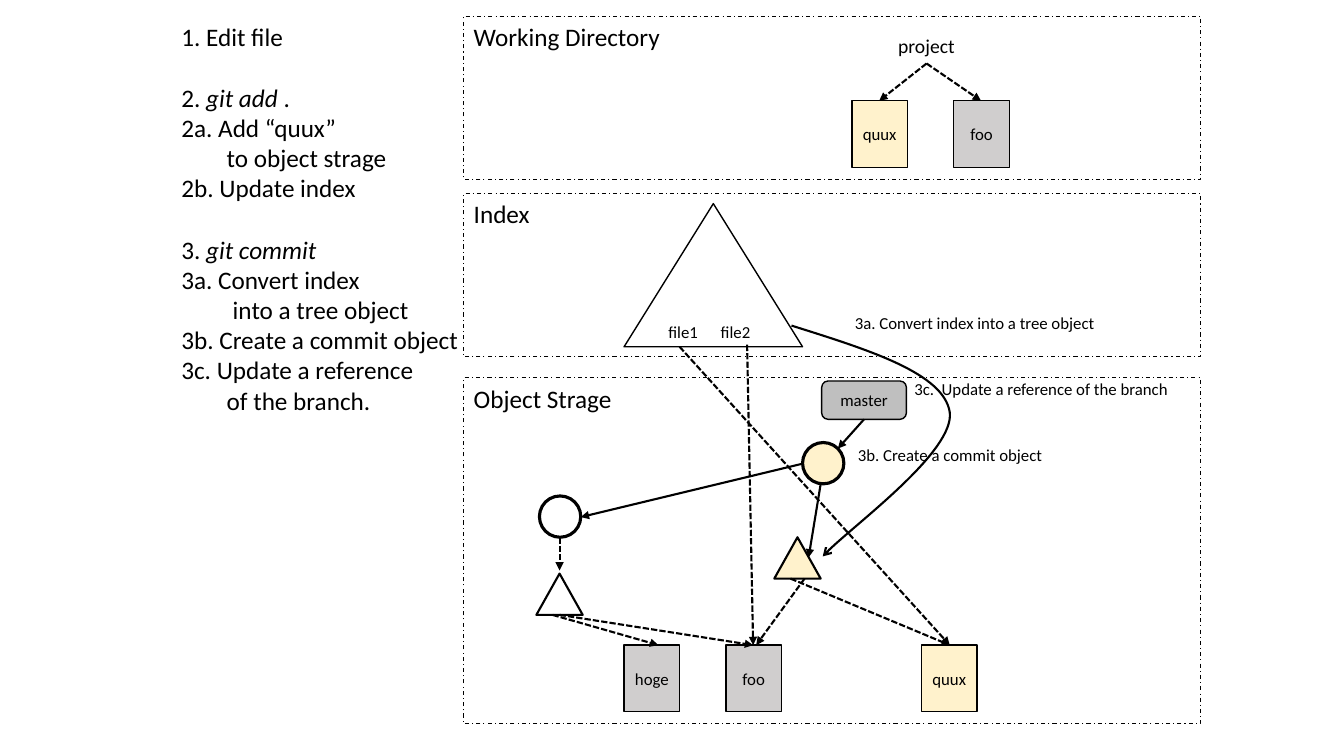
from pptx import Presentation
from pptx.dml.color import RGBColor
from pptx.enum.dml import MSO_LINE as DASH
from pptx.enum.shapes import MSO_CONNECTOR, MSO_SHAPE as SHAPE
from pptx.enum.text import MSO_ANCHOR as ANCHOR, PP_ALIGN as ALIGN
from pptx.oxml.ns import qn
from pptx.util import Inches, Pt
from lxml import etree

COLORS = {"ink": "000000", "plain": "FFFFFF", "new": "FFF2CC",
          "file": "D0CECE", "branch": "BFBFBF"}

prs = Presentation()
prs.slide_width, prs.slide_height = Inches(13.33), Inches(7.5)
slide = prs.slides.add_slide(prs.slide_layouts[6])
shapes = slide.shapes


def write(paragraph, text, size=12, italic=False, align=ALIGN.LEFT):
    """Add a formatted run to a paragraph."""
    paragraph.alignment = align
    run = paragraph.add_run()
    run.text = text
    run.font.name, run.font.size, run.font.italic = "Calibri", Pt(size), italic
    run.font.color.rgb = RGBColor.from_string(COLORS["ink"])


def outline(item, width, dash=None, head=None):
    """Give a shape or connector a flat black line, with an optional arrowhead."""
    item.line.color.rgb = RGBColor.from_string(COLORS["ink"])
    item.line.width = Pt(width)
    if dash:
        item.line.dash_style = dash
    if head:
        line_xml = item.line._get_or_add_ln()
        etree.SubElement(line_xml, qn("a:tailEnd"), type=head)


# Three storage areas
for name, top, height in [("Working Directory", 0.16, 1.62), ("Index", 1.92, 1.62),
                          ("Object Strage", 3.75, 3.43)]:
    area = shapes.add_shape(SHAPE.RECTANGLE, Inches(4.6), Inches(top),
                            Inches(7.31), Inches(height))
    area.shadow.inherit = False
    area.fill.background()
    outline(area, 0.75, DASH.DASH_DOT)
    area.text_frame.vertical_anchor = ANCHOR.TOP
    write(area.text_frame.paragraphs[0], name, size=18)

# Files, trees, commits and the branch: kind, left, top, fill, label
SIZES = {"file": (SHAPE.RECTANGLE, 0.55, 0.66, 1),
         "index": (SHAPE.ISOSCELES_TRIANGLE, 1.77, 1.42, 1),
         "tree": (SHAPE.ISOSCELES_TRIANGLE, 0.46, 0.41, 1.5),
         "commit": (SHAPE.OVAL, 0.41, 0.41, 2.25),
         "branch": (SHAPE.ROUNDED_RECTANGLE, 0.84, 0.38, 1)}
nodes = [("file", 8.45, 1, "new", "quux"), ("file", 9.46, 1, "file", "foo"),
         ("index", 6.19, 2.02, "plain", ""),
         ("commit", 5.35, 4.92, "plain", ""), ("tree", 5.32, 5.69, "plain", ""),
         ("file", 6.19, 6.4, "file", "hoge"), ("file", 7.2, 6.4, "file", "foo"),
         ("file", 9.14, 6.4, "new", "quux"),
         ("tree", 7.68, 5.33, "new", ""), ("commit", 7.96, 4.39, "new", ""),
         ("branch", 8.15, 3.78, "branch", "master")]
for kind, left, top, fill, label in nodes:
    preset, width, height, weight = SIZES[kind]
    node = shapes.add_shape(preset, Inches(left), Inches(top),
                            Inches(width), Inches(height))
    node.shadow.inherit = False
    node.fill.solid()
    node.fill.fore_color.rgb = RGBColor.from_string(COLORS[fill])
    outline(node, weight)
    if label:
        frame = node.text_frame
        frame.margin_left = frame.margin_right = 0
        frame.vertical_anchor = ANCHOR.MIDDLE
        write(frame.paragraphs[0], label, align=ALIGN.CENTER)

# References between objects: dashed to contents, solid to commits and new tree
contents = [(9.19, 0.63, 8.72, 1), (9.19, 0.63, 9.73, 1),
            (5.55, 5.33, 5.55, 5.66), (5.48, 6.1, 6.53, 6.4),
            (5.55, 6.1, 7.47, 6.4), (7.41, 3.42, 7.47, 6.4),
            (6.74, 3.44, 9.42, 6.4), (7.84, 5.74, 9.42, 6.4),
            (7.98, 5.74, 7.5, 6.4)]
history = [(8.14, 4.8, 8.02, 5.53), (7.96, 4.6, 5.76, 5.13), (8.57, 4.16, 8.31, 4.45)]
for dash, links in [(DASH.SQUARE_DOT, contents), (None, history)]:
    for ends in links:
        link = shapes.add_connector(MSO_CONNECTOR.STRAIGHT, *map(Inches, ends))
        outline(link, 1.5, dash, "triangle")
        etree.SubElement(link._element.spPr, qn("a:effectLst"))

# Curved arrow from the index to the new tree: each three points form one Bezier
bends = [(8.61, 3.47), (9.36, 3.7), (9.42, 4.09),
         (9.47, 4.47), (8.36, 5.29), (8.16, 5.52)]
builder = shapes.build_freeform(Inches(7.85), Inches(3.23))
builder.add_line_segments([(Inches(x), Inches(y)) for x, y in bends], close=False)
conversion = builder.convert_to_shape()
conversion.shadow.inherit = False
conversion.fill.background()
outline(conversion, 1.5, head="arrow")
segments = conversion._element.xpath(".//a:lnTo")
for start in range(0, len(segments), 3):
    bezier = etree.SubElement(segments[start].getparent(), qn("a:cubicBezTo"))
    for segment in segments[start:start + 3]:
        bezier.append(segment[0])
        segment.getparent().remove(segment)

# Captions: text, left, top, width, size
captions = [("project", 8.81, 0.29, 0.77, 14),
            ("file1", 6.53, 3.14, 0.55, 12), ("file2", 7.05, 3.14, 0.55, 12),
            ("3a. Convert index into a tree object", 8.38, 3.05, 3.21, 12),
            ("3b. Create a commit object", 8.41, 4.36, 3.21, 12),
            ("3c.  Update a reference of the branch", 8.97, 3.71, 3.21, 12)]
for text, left, top, width, size in captions:
    caption = shapes.add_textbox(Inches(left), Inches(top), Inches(width), Inches(0.3))
    caption.text_frame.word_wrap = width > 1
    write(caption.text_frame.paragraphs[0], text, size=size)

# Steps: plain text, command in italics, text after it, indent, space before
steps = [("1. Edit file", "", "", 0, 0),
         ("2. ", "git add", " .", 0, 22),
         ("2a. Add “quux”", "", "", 0, 0),
         ("to object strage", "", "", 0.45, 0),
         ("2b. Update index", "", "", 0, 0),
         ("3. ", "git commit", "", 0, 22),
         ("3a. Convert index", "", "", 0, 0),
         ("into a tree object", "", "", 0.51, 0),
         ("3b. Create a commit object", "", "", 0, 0),
         ("3c. Update a reference", "", "", 0, 0),
         ("of the branch.", "", "", 0.45, 0)]
procedure = shapes.add_textbox(Inches(1.7), Inches(0.16), Inches(2.98), Inches(4.04))
procedure.text_frame.word_wrap = True
for number, (plain, command, rest, indent, gap) in enumerate(steps):
    frame = procedure.text_frame
    step = frame.add_paragraph() if number else frame.paragraphs[0]
    step.space_before = Pt(gap)
    step._p.get_or_add_pPr().set("marL", str(Inches(indent)))
    for text, italic in [(plain, False), (command, True), (rest, False)]:
        if text:
            write(step, text, size=18, italic=italic)

prs.save("out.pptx")
